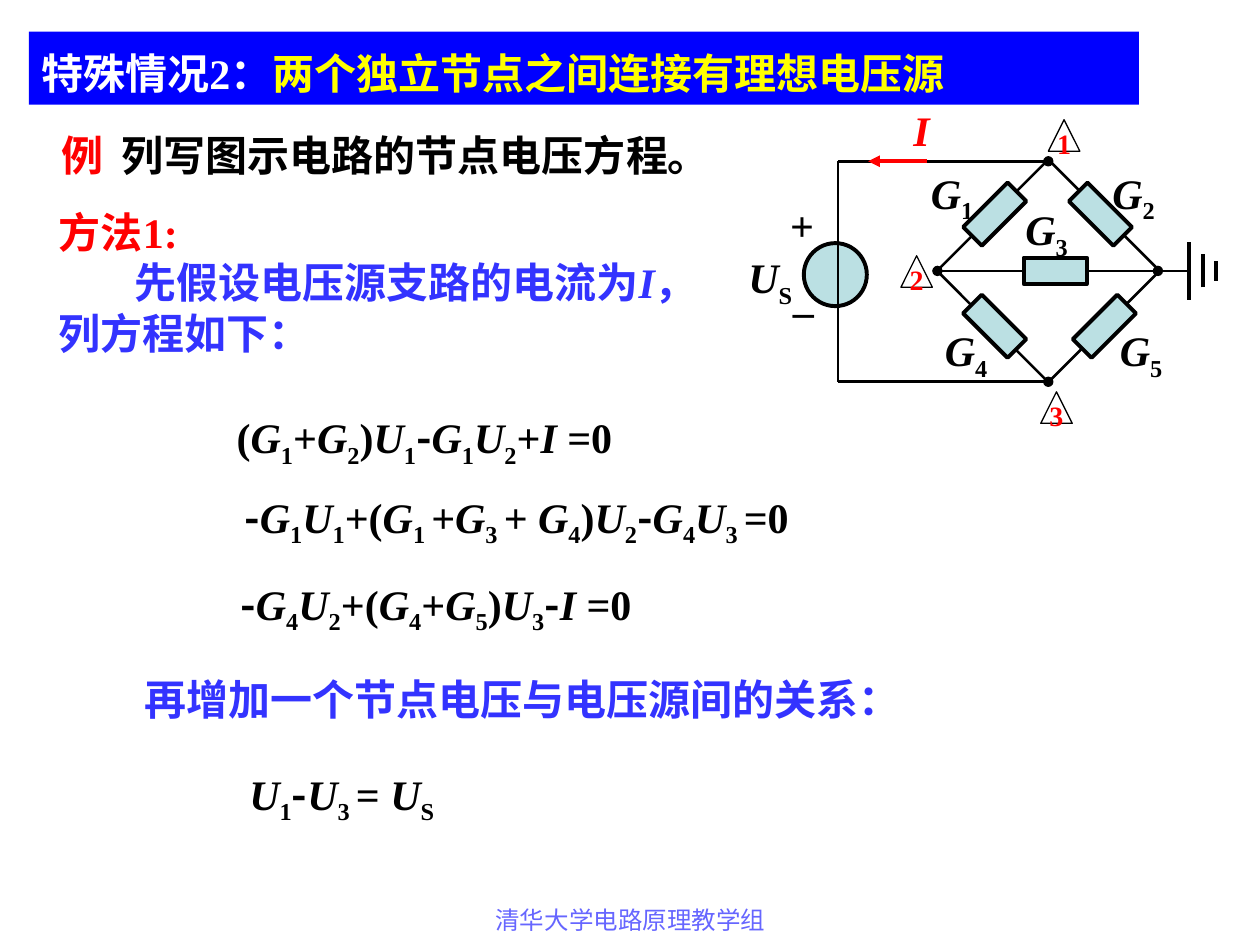
"""Build the circuit slide on node-voltage equations with an ideal voltage source."""
from itertools import groupby

from lxml import etree
from pptx import Presentation
from pptx.dml.color import RGBColor
from pptx.enum.shapes import MSO_CONNECTOR, MSO_SHAPE
from pptx.enum.text import MSO_ANCHOR, MSO_AUTO_SIZE, PP_ALIGN
from pptx.oxml.ns import qn
from pptx.util import Inches, Pt

COLORS = {"black": "000000", "white": "FFFFFF", "red": "FF0000", "yellow": "FFFF00",
          "blue": "3333FF", "banner": "0000FF", "part": "BBE0E3", "footer": "6666FF"}
LATIN, CJK = "Times New Roman", "Noto Sans CJK SC"
STYLES = {
    "plain": {},
    "variable": {"italic": True},
    "minus": {"name": CJK},
    "subscript": {"baseline": "-25000"},
}

BANNER = [[("特殊情况2：", "white", "plain"), ("两个独立节点之间连接有理想电压源", "yellow", "plain")]]
EXAMPLE = [[("例", "red", "plain"), ("\t列写图示电路的节点电压方程。", "black", "plain")]]
METHOD = [
    [("方法1:", "red", "plain")],
    [("先假设电压源支路的电流为", "blue", "plain"), ("I", "blue", "variable"),
     ("，列方程如下：", "blue", "plain")],
]
RELATION = [[("再增加一个节点电压与电压源间的关系：", "blue", "plain")]]
FOOTER = [[("清华大学电路原理教学组", "footer", "plain")]]

EQUATIONS = [
    ("(G_1+G_2)U_1-G_1U_2+I =0", (1.78, 3.22, 3.33, 0.56)),
    ("-G_1U_1+(G_1 +G_3 + G_4)U_2-G_4U_3 =0", (1.84, 3.85, 4.69, 0.56)),
    ("-G_4U_2+(G_4+G_5)U_3-I =0", (1.81, 4.54, 3.44, 0.56)),
    ("U_1-U_3 = U_S", (1.88, 6.05, 1.75, 0.56)),
]
CONDUCTANCES = [
    ("G_1", (7.29, 1.28), (7.89, 1.7), 45),
    ("G_2", (8.73, 1.28), (8.73, 1.7), 315),
    ("G_3", (8.04, 1.57), (8.37, 2.15), 270),
    ("G_4", (7.4, 2.53), (7.89, 2.59), 315),
    ("G_5", (8.79, 2.53), (8.76, 2.59), 45),
]
NODES = [("1", 8.32, 0.95), ("2", 7.15, 2.03), ("3", 8.26, 3.11)]

LEFT, MIDDLE, RIGHT, SOURCE = 7.44, 8.32, 9.19, 6.65
TOP, CENTER, BOTTOM = 1.28, 2.15, 3.03
SIDE = 1.25
GROUND = [(9.44, 0.23), (9.55, 0.13), (9.65, 0.08)]
WIRES = [
    ((LEFT, CENTER), (RIGHT, CENTER), {"headEnd": "oval", "tailEnd": "oval"}),
    ((MIDDLE, BOTTOM), (SOURCE, BOTTOM), {"headEnd": "oval"}),
    ((MIDDLE, TOP), (SOURCE, TOP), {"headEnd": "oval"}),
    ((SOURCE, TOP), (SOURCE, BOTTOM), {}),
]


def rgb(name):
    return RGBColor.from_string(COLORS[name])


def formula(text, color="black"):
    """Split a formula into coloured runs; an underscore marks a subscript."""
    def style(index):
        if "_" in (text[index - 1:index], text[max(index - 2, 0):index - 1] * (text[index] == " ")):
            return "subscript"
        return {"-": "minus"}.get(text[index], "variable" if text[index] in "GUI" else "plain")

    visible = [i for i, char in enumerate(text) if char != "_"]
    return [[("".join(text[i] for i in group), color, kind)
             for kind, group in groupby(visible, key=style)]]


def fill_text(frame, paragraphs, size=24, bold=True, align=PP_ALIGN.LEFT, spacing=None):
    for index, runs in enumerate(paragraphs):
        paragraph = frame.paragraphs[0] if index == 0 else frame.add_paragraph()
        paragraph.alignment = align
        if spacing:
            paragraph.line_spacing = spacing
        for content, color, style in runs:
            run = paragraph.add_run()
            run.text = content
            values = {"name": LATIN, "size": Pt(size), "bold": bold, **STYLES[style]}
            baseline = values.pop("baseline", None)
            for key, value in values.items():
                setattr(run.font, key, value)
            run.font.color.rgb = rgb(color)
            properties = run._r.get_or_add_rPr()
            if baseline:
                properties.set("baseline", baseline)
            etree.SubElement(properties, qn("a:ea")).set("typeface", CJK)


def add_text(slide, box, paragraphs, wrap=False, grow=True, anchor=MSO_ANCHOR.TOP, **text_format):
    frame = slide.shapes.add_textbox(*map(Inches, box)).text_frame
    frame.word_wrap = wrap
    frame.auto_size = MSO_AUTO_SIZE.SHAPE_TO_FIT_TEXT if grow else MSO_AUTO_SIZE.NONE
    frame.vertical_anchor = anchor
    fill_text(frame, paragraphs, **text_format)
    return frame


def add_part(slide, kind, box, fill, width=None, rotation=0):
    part = slide.shapes.add_shape(kind, *map(Inches, box))
    part.shadow.inherit = False
    part.rotation = rotation
    part.fill.solid()
    part.fill.fore_color.rgb = rgb(fill)
    if width:
        part.line.color.rgb = rgb("black")
        part.line.width = Pt(width)
    else:
        part.line.fill.background()
    return part


def add_wire(slide, start, end, ends=None, width=1.5, color="black"):
    wire = slide.shapes.add_connector(MSO_CONNECTOR.STRAIGHT, *map(Inches, (*start, *end)))
    wire.line.color.rgb = rgb(color)
    wire.line.width = Pt(width)
    for tag, shape in (ends or {}).items():
        etree.SubElement(wire.line._get_or_add_ln(), qn(f"a:{tag}")).set("type", shape)
    etree.SubElement(wire._element.spPr, qn("a:effectLst"))


def add_circuit(slide):
    add_part(slide, MSO_SHAPE.RECTANGLE, (MIDDLE - SIDE / 2, CENTER - SIDE / 2, SIDE, SIDE),
             "white", 1.5, 45)
    for start, end, ends in WIRES:
        add_wire(slide, start, end, ends)
    add_wire(slide, (RIGHT, CENTER), (GROUND[0][0], CENTER), width=0.75)
    for x, half in GROUND:
        add_wire(slide, (x, CENTER + half), (x, CENTER - half), width=2.25)
    for _, _, (x, y), rotation in CONDUCTANCES:
        add_part(slide, MSO_SHAPE.RECTANGLE, (x - 0.1, y - 0.25, 0.21, 0.5), "part", 2.25, rotation)
    for label, corner, _, _ in CONDUCTANCES:
        add_text(slide, (*corner, 0.54, 0.56), formula(label))

    add_part(slide, MSO_SHAPE.OVAL, (6.38, 1.93, 0.5, 0.5), "part", 2.25)
    add_wire(slide, (SOURCE, 1.53), (SOURCE, 2.78))
    for sign, box in [("+", (6.17, 1.53, 0.39, 0.5)), ("_", (6.19, 2.1, 0.37, 0.5))]:
        add_text(slide, box, [[(sign, "black", "plain")]], anchor=MSO_ANCHOR.MIDDLE,
                 align=PP_ALIGN.CENTER)
    add_text(slide, (5.84, 1.95, 0.58, 0.56), formula("U_S"), wrap=True)

    for number, x, y in NODES:
        frame = add_part(slide, MSO_SHAPE.ISOSCELES_TRIANGLE, (x, y, 0.25, 0.25),
                         "white", 0.75).text_frame
        frame.word_wrap = False
        frame.vertical_anchor = MSO_ANCHOR.MIDDLE
        frame.margin_top = frame.margin_bottom = Inches(0.03)
        fill_text(frame, [[(number, "red", "plain")]], size=16, align=PP_ALIGN.CENTER)
    add_wire(slide, (7.36, TOP), (6.89, TOP), {"tailEnd": "triangle"}, 2.25, "red")
    add_text(slide, (7.15, 0.78, 0.33, 0.5), formula("I", "red"))


def main():
    deck = Presentation()
    deck.slide_width, deck.slide_height = Inches(10), Inches(7.5)
    slide = deck.slides.add_slide(deck.slide_layouts[6])

    example = add_text(slide, (0.39, 0.98, 9.07, 0.5), EXAMPLE, wrap=True)
    tabs = etree.SubElement(example.paragraphs[0]._p.get_or_add_pPr(), qn("a:tabLst"))
    etree.SubElement(tabs, qn("a:tab"), pos=str(Inches(0.48)), algn="l")
    method = add_text(slide, (0.37, 1.59, 5.27, 1.3), METHOD, wrap=True)
    method.paragraphs[1]._p.get_or_add_pPr().set("indent", str(Inches(0.6)))
    for text, box in EQUATIONS:
        add_text(slide, box, formula(text))
    add_circuit(slide)
    add_text(slide, (1.05, 5.3, 6.35, 0.5), RELATION, wrap=True, align=PP_ALIGN.JUSTIFY)

    banner = add_part(slide, MSO_SHAPE.RECTANGLE, (0.23, 0.25, 8.81, 0.58), "banner").text_frame
    banner.word_wrap = True
    banner.vertical_anchor = MSO_ANCHOR.TOP
    fill_text(banner, BANNER, spacing=1.2)
    add_text(slide, (3.42, 7.13, 3.17, 0.52), FOOTER, wrap=True, grow=False, size=14,
             bold=False, align=PP_ALIGN.CENTER)
    deck.save("out.pptx")


if __name__ == "__main__":
    main()
